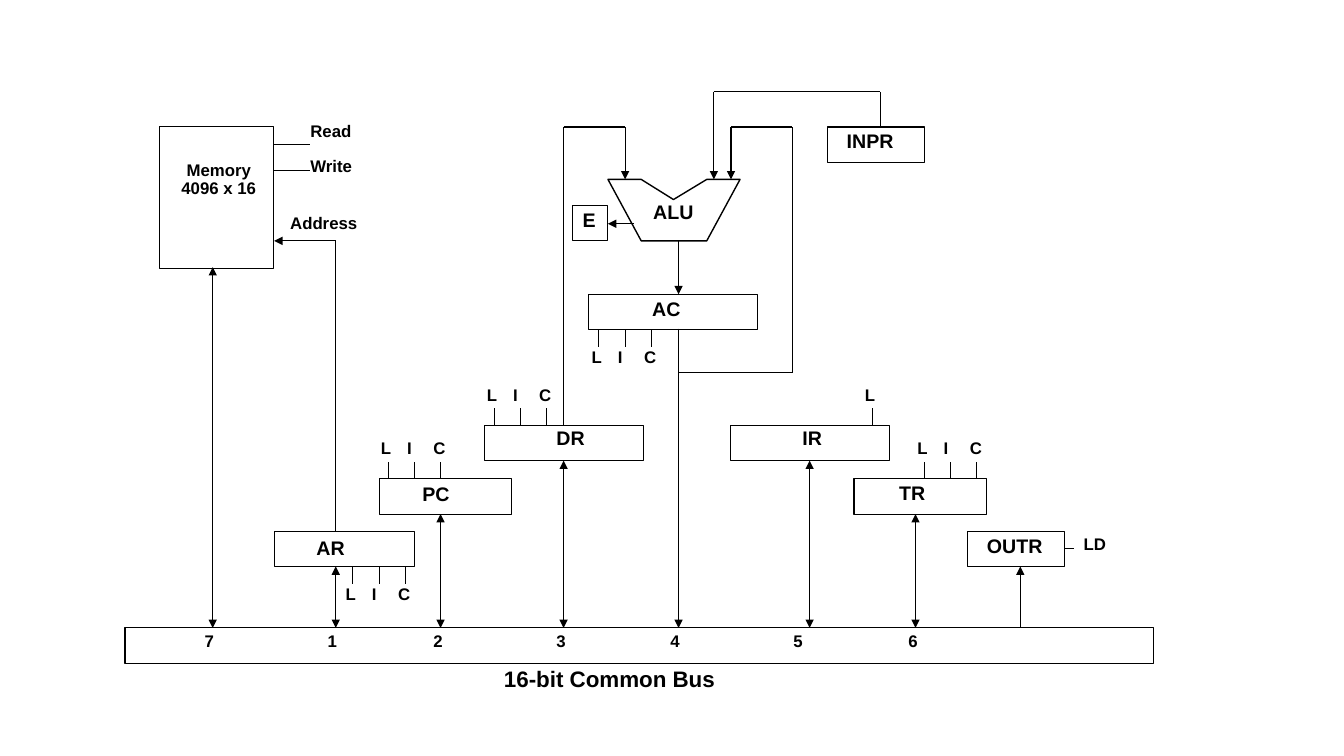
"""Build a slide showing computer registers connected to a common bus."""
import lxml.etree
import pptx
import pptx.dml.color
import pptx.enum.shapes
import pptx.enum.text
import pptx.oxml.ns
import pptx.util

BLACK = pptx.dml.color.RGBColor(0, 0, 0)
FONT = "Arial"
BUS_TOP = 6.23
BOX_HEIGHT = 0.35
TICK_STEP = 0.26
TICK_LENGTH = 0.17
CONTROL_WIDTHS = {"L": 0.34, "I": 0.27, "C": 0.36}

# name, left, top, width, label left, label top, label width
BOXES = [
    ("AR", 2.72, 5.27, 1.39, 3.04, 5.29, 0.53),
    ("PC", 3.76, 4.75, 1.31, 4.09, 4.76, 0.52),
    ("DR", 4.81, 4.22, 1.57, 5.42, 4.2, 0.53),
    ("AC", 5.84, 2.92, 1.67, 6.37, 2.92, 0.53),
    ("IR", 7.25, 4.22, 1.57, 7.86, 4.2, 0.44),
    ("TR", 8.47, 4.75, 1.31, 8.82, 4.75, 0.51),
    ("OUTR", 9.6, 5.27, 0.96, 9.69, 5.27, 0.83),
    ("INPR", 8.21, 1.26, 0.96, 8.3, 1.26, 0.74),
    ("E", 5.68, 2.04, 0.35, 5.68, 2.04, 0.37),
]

# control letters, first tick, register edge, whether above the register
CONTROLS = [
    ("LIC", 3.5, 5.62, False),
    ("LIC", 3.85, 4.75, True),
    ("LIC", 4.9, 4.22, True),
    ("LIC", 5.94, 3.27, False),
    ("L", 8.65, 4.22, True),
    ("LIC", 9.17, 4.75, True),
]

# bus line position and register edge
BUS_LINKS = [(2.11, 2.65), (3.33, 5.62), (4.37, 5.1), (5.59, 4.57), (8.03, 4.57), (9.08, 5.1)]

ARROW_ROUTES = [
    [(6.73, 3.26), (6.73, BUS_TOP)],
    [(6.73, 2.39), (6.73, 2.92)],
    [(5.59, 4.22), (5.59, 1.26), (6.2, 1.26), (6.2, 1.78)],
    [(6.73, 3.7), (7.86, 3.7), (7.86, 1.26), (7.25, 1.26), (7.25, 1.78)],
    [(8.73, 1.26), (8.73, 0.91), (7.08, 0.91), (7.08, 1.78)],
    [(6.29, 2.22), (6.03, 2.22)],
    [(3.33, 5.27), (3.33, 2.39), (2.72, 2.39)],
    [(10.12, BUS_TOP), (10.12, 5.62)],
]

PLAIN_LINES = [
    [(2.72, 1.43), (3.07, 1.43)],
    [(2.72, 1.69), (3.07, 1.69)],
    [(10.56, 5.44), (10.65, 5.44)],
]

ALU_OUTLINE = [(6.03, 1.78), (6.36, 1.78), (6.68, 1.98), (7.01, 1.78),
               (7.34, 1.78), (7.01, 2.39), (6.36, 2.39)]

SIGNALS = [("Read", 2.98, 1.17, 0.67), ("Write", 2.98, 1.52, 0.68),
           ("Address", 2.78, 2.08, 0.96), ("LD", 10.65, 5.27, 0.47)]

BUS_NUMBERS = [("7", 1.93), ("1", 3.15), ("2", 4.2), ("3", 5.42),
               ("4", 6.55), ("5", 7.77), ("6", 8.91)]


def inches(*values):
    """Convert numbers to lengths."""
    return [pptx.util.Inches(value) for value in values]


def outline(shape, weight=0.75):
    """Give a shape a black outline without fill or shadow."""
    shape.shadow.inherit = False
    shape.fill.background()
    shape.line.color.rgb = BLACK
    shape.line.width = pptx.util.Pt(weight)


def add_box(slide, left, top, width, height=BOX_HEIGHT):
    """Add an outlined rectangle."""
    box = slide.shapes.add_shape(
        pptx.enum.shapes.MSO_SHAPE.RECTANGLE, *inches(left, top, width, height))
    outline(box)


def add_label(slide, text, left, top, width, height=0.31, size=12, align=None):
    """Add bold text, one paragraph for each line."""
    label = slide.shapes.add_textbox(*inches(left, top, width, height))
    frame = label.text_frame
    frame.word_wrap = False
    frame.auto_size = pptx.enum.text.MSO_AUTO_SIZE.SHAPE_TO_FIT_TEXT
    frame.text = text
    for para in frame.paragraphs:
        para.alignment = align
        para.line_spacing = 0.9
        para.font.name = FONT
        para.font.size = pptx.util.Pt(size)
        para.font.bold = True
        para.font.color.rgb = BLACK


def add_line(slide, start, end, arrows=()):
    """Add a straight line with triangles at the named ends."""
    line = slide.shapes.add_connector(
        pptx.enum.shapes.MSO_CONNECTOR.STRAIGHT, *inches(*start, *end))
    line.line.color.rgb = BLACK
    line.line.width = pptx.util.Pt(0.75)
    properties = line.element.spPr
    stroke = properties.find(pptx.oxml.ns.qn("a:ln"))
    for arrow in arrows:
        lxml.etree.SubElement(stroke, pptx.oxml.ns.qn(f"a:{arrow}"), type="triangle")
    lxml.etree.SubElement(properties, pptx.oxml.ns.qn("a:effectLst"))


def add_arrow_route(slide, points):
    """Join points with lines, with an arrow at the last point."""
    for start, end in zip(points, points[1:]):
        add_line(slide, start, end, ("tailEnd",) if end == points[-1] else ())


def add_controls(slide, letters, first, edge, above):
    """Add evenly spaced control ticks and their letters."""
    far_end = edge - TICK_LENGTH if above else edge + TICK_LENGTH
    label_top = far_end - 0.26 if above else far_end - 0.03
    for index, letter in enumerate(letters):
        tick = first + index * TICK_STEP
        add_line(slide, (tick, edge), (tick, far_end))
        add_label(slide, letter, tick - 0.17, label_top, CONTROL_WIDTHS[letter])


def add_alu(slide):
    """Add the notched outline and name of the ALU."""
    points = [inches(*point) for point in ALU_OUTLINE]
    builder = slide.shapes.build_freeform(*points[0])
    builder.add_line_segments(points[1:], close=True)
    outline(builder.convert_to_shape(), 1)
    add_label(slide, "ALU", 6.38, 1.96, 0.66, 0.34, 14)


def add_memory(slide):
    """Add the memory block and its name."""
    add_box(slide, 1.58, 1.26, 1.13, 1.4)
    add_label(slide, "Memory\n4096 x 16", 1.65, 1.56, 1.04, 0.51,
              align=pptx.enum.text.PP_ALIGN.CENTER)


def add_bus(slide):
    """Add the common bus with its numbers and caption."""
    add_box(slide, 1.24, BUS_TOP, 10.2)
    for number, left in BUS_NUMBERS:
        add_label(slide, number, left, BUS_TOP, 0.32)
    add_label(slide, "16-bit Common Bus", 4.9, 6.58, 2.55, 0.38, 16)


def main():
    """Build and save the deck."""
    deck = pptx.Presentation()
    deck.slide_width, deck.slide_height = inches(13.33, 7.5)
    slide = deck.slides.add_slide(deck.slide_layouts[6])
    add_bus(slide)
    add_memory(slide)
    add_alu(slide)
    for name, left, top, width, label_left, label_top, label_width in BOXES:
        add_box(slide, left, top, width)
        add_label(slide, name, label_left, label_top, label_width, 0.34, 14)
    for control in CONTROLS:
        add_controls(slide, *control)
    for x, edge in BUS_LINKS:
        add_line(slide, (x, edge), (x, BUS_TOP), ("headEnd", "tailEnd"))
    for points in ARROW_ROUTES:
        add_arrow_route(slide, points)
    for start, end in PLAIN_LINES:
        add_line(slide, start, end)
    for signal in SIGNALS:
        add_label(slide, *signal)
    deck.save("out.pptx")


if __name__ == "__main__":
    main()
